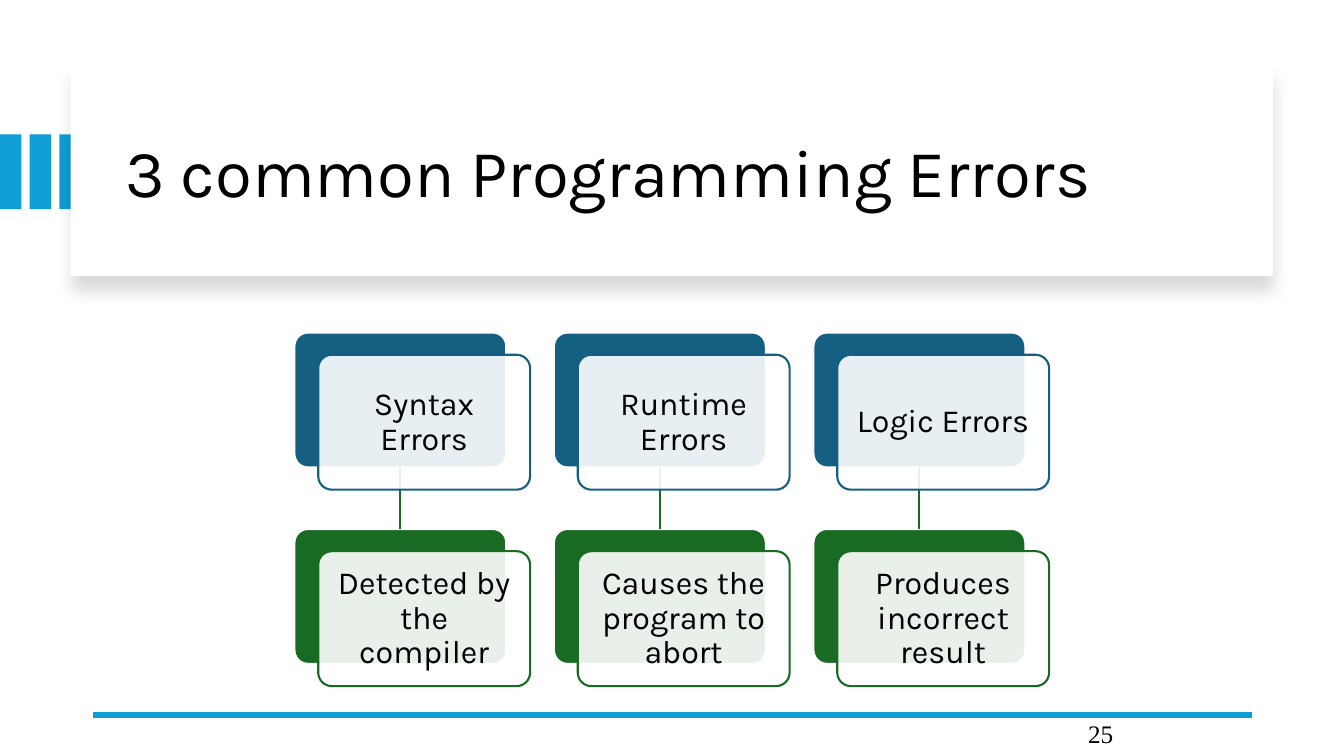
from lxml.etree import SubElement
from pptx import Presentation
from pptx.dml.color import RGBColor
from pptx.enum.shapes import MSO_CONNECTOR, MSO_SHAPE
from pptx.enum.text import MSO_ANCHOR, PP_ALIGN
from pptx.oxml.ns import qn
from pptx.util import Cm, Pt

COLORS = {
    "sky": "0F9ED5",
    "blue": "156082",
    "green": "196B24",
    "white": "FFFFFF",
    "black": "000000",
}
ERRORS = [
    ("Syntax Errors", "Detected by the compiler"),
    ("Runtime Errors", "Causes the program to abort"),
    ("Logic Errors", "Produces incorrect result"),
]
ROW_COLORS = ["blue", "green"]
LEFT, TOP = 7.42, 8.38
COLUMN_STEP, ROW_STEP = 6.54, 4.95
BOX_WIDTH, BOX_HEIGHT = 5.34, 3.4
SHIFT_X, SHIFT_Y = 0.6, 0.56


def add_box(kind, left, top, width, height, fill, line=None):
    box = page.shapes.add_shape(kind, Cm(left), Cm(top), Cm(width), Cm(height))
    box.shadow.inherit = False
    box.fill.solid()
    box.fill.fore_color.rgb = RGBColor.from_string(COLORS[fill])
    if line:
        box.line.color.rgb = RGBColor.from_string(COLORS[line])
        box.line.width = Pt(1.5)
        box.adjustments[0] = 0.1
    else:
        box.line.fill.background()
    return box


def write_text(shape, text, size, font, align):
    frame = shape.text_frame
    frame.word_wrap = True
    frame.vertical_anchor = MSO_ANCHOR.MIDDLE
    para = frame.paragraphs[0]
    para.alignment = align
    para.line_spacing = 0.9
    span = para.add_run()
    span.text = text
    span.font.size = Pt(size)
    span.font.name = font
    span.font.color.rgb = RGBColor.from_string(COLORS["black"])


deck = Presentation()
deck.slide_width, deck.slide_height = Cm(33.87), Cm(19.05)
page = deck.slides.add_slide(deck.slide_layouts[5])

# Header: stripes, shadowed card and title
for stripe in range(3):
    add_box(MSO_SHAPE.RECTANGLE, stripe * 0.75, 3.39, 0.54, 1.88, "sky")

card = add_box(MSO_SHAPE.RECTANGLE, 1.78, 1.7, 30.3, 5.26, "white")
shadow = SubElement(
    card.element.spPr.find(qn("a:effectLst")), qn("a:outerShdw"),
    blurRad=str(Pt(11)), dist=str(Pt(10)), dir="5400000", algn="t", rotWithShape="0",
)
shadow_color = SubElement(shadow, qn("a:srgbClr"), val=COLORS["black"])
SubElement(shadow_color, qn("a:alpha"), val="15000")

title = page.shapes.title
title.left, title.top, title.width, title.height = Cm(2.9), Cm(2.26), Cm(28.27), Cm(4.32)
write_text(title, "3 common Programming Errors", 48, "Karla", PP_ALIGN.LEFT)
card.element.addnext(title.element)

# Footer: rule and page number
rule = page.shapes.add_connector(
    MSO_CONNECTOR.STRAIGHT, Cm(31.55), Cm(18.01), Cm(2.34), Cm(18.01))
rule.line.color.rgb = RGBColor.from_string(COLORS["sky"])
rule.line.width = Pt(4.5)
SubElement(rule.element.spPr, qn("a:effectLst"))

number = page.shapes.add_textbox(Cm(23.93), Cm(18.03), Cm(7.62), Cm(1.02))
write_text(number, "25", 18, "Times New Roman", PP_ALIGN.CENTER)

# Error diagram: each error above its effect
for column, labels in enumerate(ERRORS):
    left = LEFT + column * COLUMN_STEP
    tops = [TOP, TOP + ROW_STEP]
    backs = [
        add_box(MSO_SHAPE.ROUNDED_RECTANGLE, left, top, BOX_WIDTH, BOX_HEIGHT, color, "white")
        for top, color in zip(tops, ROW_COLORS)
    ]

    link = page.shapes.add_connector(MSO_CONNECTOR.STRAIGHT, 0, 0, 0, 0)
    link.begin_connect(backs[0], 2)
    link.end_connect(backs[1], 0)
    link.line.color.rgb = RGBColor.from_string(COLORS["green"])
    link.line.width = Pt(1.5)
    SubElement(link.element.spPr, qn("a:effectLst"))

    for label, top, color in zip(labels, tops, ROW_COLORS):
        front = add_box(MSO_SHAPE.ROUNDED_RECTANGLE, left + SHIFT_X, top + SHIFT_Y,
                        BOX_WIDTH, BOX_HEIGHT, "white", color)
        fill_color = front.element.spPr.find(qn("a:solidFill")).find(qn("a:srgbClr"))
        SubElement(fill_color, qn("a:alpha"), val="90000")
        frame = front.text_frame
        frame.margin_left = frame.margin_right = Cm(0.25)
        frame.margin_top = frame.margin_bottom = Cm(0.25)
        write_text(front, label, 23, "Karla", PP_ALIGN.CENTER)

deck.save("out.pptx")
